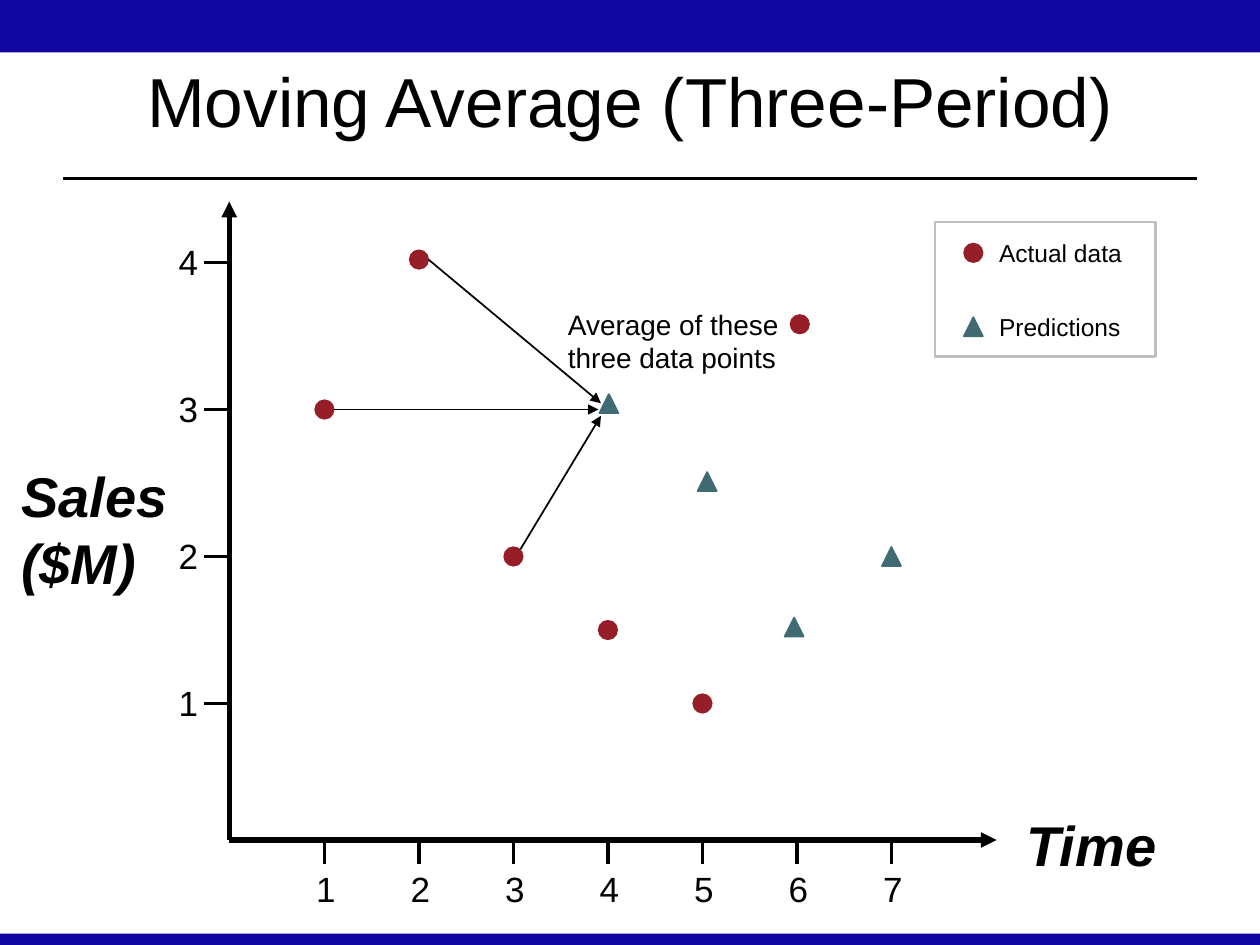
from lxml.etree import SubElement
from pptx import Presentation
from pptx.dml.color import RGBColor
from pptx.enum.shapes import MSO_CONNECTOR, MSO_SHAPE
from pptx.enum.text import MSO_ANCHOR, PP_ALIGN
from pptx.oxml.ns import qn
from pptx.util import Pt

COLORS = {
    "band": "10069F",
    "ink": "000000",
    "actual": "961E28",
    "prediction": "406B72",
    "frame": "BFBFBF",
}
FONT = "Arial"
MARKER_SIZE = 10.8
ORIGIN_X, ORIGIN_Y = 131, 480
ACTUAL = [(1, 3), (2, 4.02), (3, 2), (4, 1.5), (5, 1), (6.03, 3.58)]
PREDICTIONS = [(4.01, 3.04), (5.05, 2.51), (5.97, 1.52), (7, 2)]
MARKERS = {
    "actual": (MSO_SHAPE.OVAL, 0.75),
    "prediction": (MSO_SHAPE.ISOSCELES_TRIANGLE, 1),
}


def color(name):
    return RGBColor.from_string(COLORS[name])


def time_x(period):
    return 185.4 + 54 * (period - 1)


def sales_y(value):
    return 402 - 84 * (value - 1)


def format_text(text_frame, size, emphasis=False):
    for paragraph in text_frame.paragraphs:
        for run in paragraph.runs:
            run.font.name = FONT
            run.font.size = Pt(size)
            run.font.bold = run.font.italic = emphasis
            run.font.color.rgb = color("ink")


def add_title(slide, text):
    title = slide.shapes.title
    title.left, title.top, title.width, title.height = Pt(54), Pt(12.2), Pt(612), Pt(90)
    text_frame = title.text_frame
    text_frame.text = text
    text_frame.vertical_anchor = MSO_ANCHOR.MIDDLE
    text_frame.paragraphs[0].alignment = PP_ALIGN.CENTER
    format_text(text_frame, 39.6)


def add_label(slide, text, left, top, width, height, size, emphasis=False):
    box = slide.shapes.add_textbox(Pt(left), Pt(top), Pt(width), Pt(height))
    box.text_frame.word_wrap = True
    box.text_frame.text = text
    format_text(box.text_frame, size, emphasis)


def add_line(slide, start, end, width, arrow=False):
    line = slide.shapes.add_connector(
        MSO_CONNECTOR.STRAIGHT, *[Pt(value) for value in (*start, *end)]
    )
    line.line.color.rgb = color("ink")
    line.line.width = Pt(width)
    if arrow:
        SubElement(line.line._get_or_add_ln(), qn("a:tailEnd"), type="triangle")
    SubElement(line._element.spPr, qn("a:effectLst"))


def add_preset(slide, kind, left, top, width, height, fill=None, outline=None, weight=1):
    shape = slide.shapes.add_shape(kind, Pt(left), Pt(top), Pt(width), Pt(height))
    shape.shadow.inherit = False
    if fill:
        shape.fill.solid()
        shape.fill.fore_color.rgb = color(fill)
    else:
        shape.fill.background()
    if outline:
        shape.line.color.rgb = color(outline)
        shape.line.width = Pt(weight)
    else:
        shape.line.fill.background()


def add_marker(slide, series, x, y):
    kind, weight = MARKERS[series]
    half = MARKER_SIZE / 2
    add_preset(slide, kind, x - half, y - half, MARKER_SIZE, MARKER_SIZE,
               series, series, weight)


def add_axes(slide):
    origin = (ORIGIN_X, ORIGIN_Y)
    add_line(slide, origin, (ORIGIN_X, 115.2), 3, arrow=True)
    add_line(slide, origin, (569.5, ORIGIN_Y), 3, arrow=True)
    for period in range(1, 8):
        x = time_x(period)
        add_line(slide, (x, ORIGIN_Y), (x, ORIGIN_Y + 14), 2)
        add_label(slide, str(period), x - 11.9, 492, 48, 31.5, 20)
    for value in range(1, 5):
        y = sales_y(value)
        add_line(slide, (ORIGIN_X, y), (ORIGIN_X - 14.4, y), 2)
        add_label(slide, str(value), 95, y - 16.2, 24, 31.5, 20)
    add_label(slide, "Time", 579.6, 459.4, 102, 46, 32, True)
    add_label(slide, "Sales\n($M)", 5, 260, 111.6, 85, 32, True)


def add_data(slide):
    for series, points in (("actual", ACTUAL), ("prediction", PREDICTIONS)):
        for period, value in points:
            add_marker(slide, series, time_x(period), sales_y(value))
    add_label(slide, "Average of these three data points", 317.5, 172, 144, 46, 16)
    for start, end in (
        ((244.8, 148.3), (343.4, 230.4)),
        ((190.8, 234), (342, 234)),
        ((297.4, 313.9), (343.4, 237.6)),
    ):
        add_line(slide, start, end, 1, arrow=True)


def add_legend(slide):
    entries = (("actual", "Actual data"), ("prediction", "Predictions"))
    for row, (series, text) in enumerate(entries):
        y = 144.5 + 42.2 * row
        add_marker(slide, series, 556.2, y)
        add_label(slide, text, 563.8, y - 12.2, 95.8, 24.2, 14)
    add_preset(slide, MSO_SHAPE.RECTANGLE, 534.2, 126.9, 126, 77,
               outline="frame", weight=1.5)


def main():
    presentation = Presentation()
    presentation.slide_width, presentation.slide_height = Pt(720), Pt(540)
    slide = presentation.slides.add_slide(presentation.slide_layouts[5])
    for top, height in ((0, 30), (533.5, 6.5)):
        add_preset(slide, MSO_SHAPE.RECTANGLE, 0, top, 720, height, "band")
    add_line(slide, (36, 102), (684, 102), 1.25)
    add_title(slide, "Moving Average (Three-Period)")
    add_axes(slide)
    add_data(slide)
    add_legend(slide)
    presentation.save("out.pptx")


if __name__ == "__main__":
    main()
